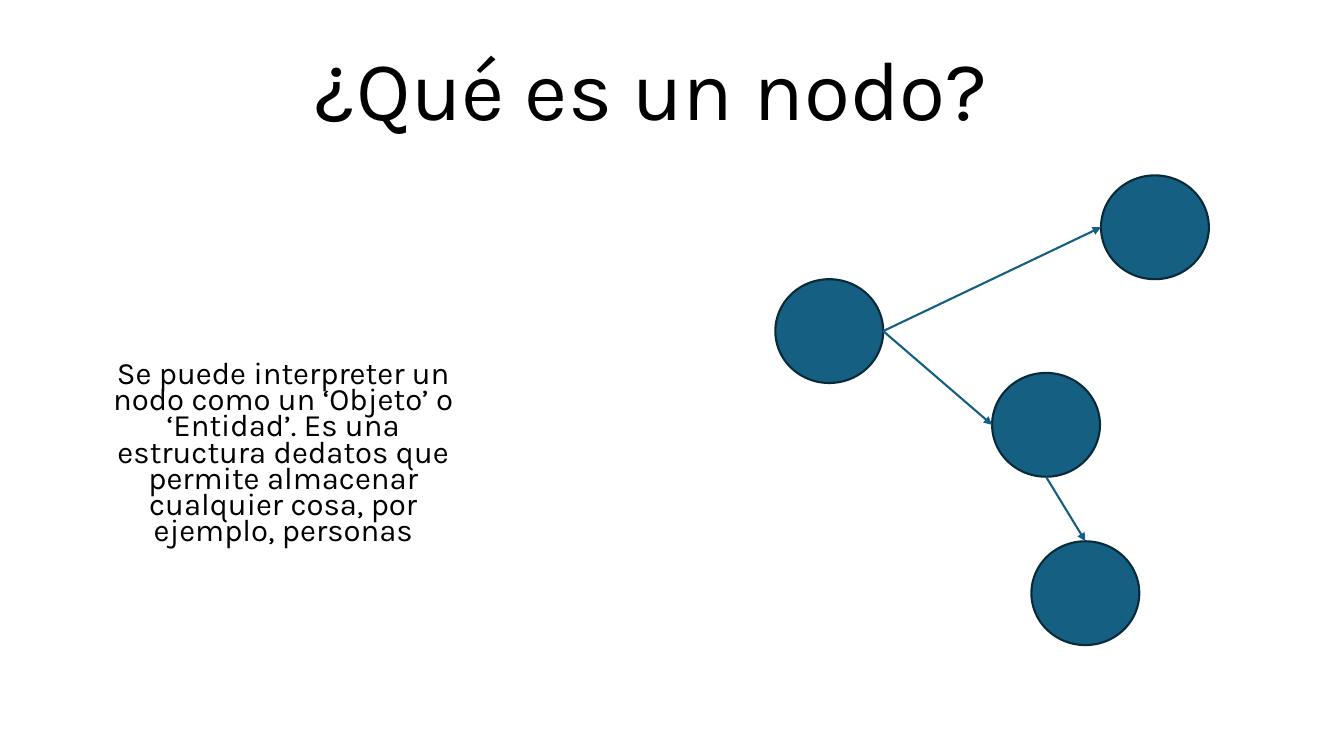
"""Build a slide that explains what a node is, with a small graph."""
from lxml import etree
from pptx import Presentation
from pptx.dml.color import RGBColor
from pptx.enum.shapes import MSO_CONNECTOR, MSO_SHAPE
from pptx.enum.text import MSO_ANCHOR, MSO_AUTO_SIZE, PP_ALIGN
from pptx.oxml.ns import qn
from pptx.util import Inches, Pt

STRAIGHT = MSO_CONNECTOR.STRAIGHT
CIRCLE = MSO_SHAPE.FLOWCHART_CONNECTOR
TOP, BOTTOM = MSO_ANCHOR.TOP, MSO_ANCHOR.BOTTOM
NO_FIT = MSO_AUTO_SIZE.NONE
CENTER = PP_ALIGN.CENTER

BLACK = RGBColor(0x00, 0x00, 0x00)
BLUE = RGBColor(0x15, 0x60, 0x82)
NAVY = RGBColor(0x09, 0x2A, 0x39)
FONT = "Karla"
LINE_WIDTH = Pt(1.5)

TITLE = "¿Qué es un nodo?"
BODY = (
    "Se puede interpreter un nodo como un ‘Objeto’ o ‘Entidad’. "
    "Es una estructura dedatos que permite almacenar cualquier cosa, "
    "por ejemplo, personas"
)

NODE_WIDTH, NODE_HEIGHT = 1.07, 1.03
NODES = {
    "root": (7.69, 2.77),
    "middle": (9.84, 3.7),
    "lower": (10.23, 5.37),
    "upper": (10.92, 1.74),
}
SIDES = {"left": (0, 0.5), "right": (1, 0.5), "top": (0.5, 0), "bottom": (0.5, 1)}
EDGES = [
    ("root", "right", "upper", "left"),
    ("root", "right", "middle", "left"),
    ("middle", "bottom", "lower", "top"),
]


def fill_placeholder(box, text, place, size, anchor, spacing, before):
    """Place a placeholder and write its formatted text."""
    box.left, box.top, box.width, box.height = map(Inches, place)
    frame = box.text_frame
    frame.word_wrap = True
    frame.auto_size = NO_FIT
    frame.vertical_anchor = anchor
    para = frame.paragraphs[0]
    para.alignment = CENTER
    para.line_spacing = spacing
    para.space_before = Pt(before)
    span = para.add_run()
    span.text = text
    span.font.name = FONT
    span.font.size = Pt(size)
    span.font.color.rgb = BLACK


def add_node(page, left, top):
    """Draw one graph node."""
    node = page.shapes.add_shape(
        CIRCLE, Inches(left), Inches(top), Inches(NODE_WIDTH), Inches(NODE_HEIGHT)
    )
    node.shadow.inherit = False
    node.fill.solid()
    node.fill.fore_color.rgb = BLUE
    node.line.color.rgb = NAVY
    node.line.width = LINE_WIDTH


def side_point(name, side):
    """Return the middle of a node's side."""
    left, top = NODES[name]
    across, down = SIDES[side]
    return Inches(left + across * NODE_WIDTH), Inches(top + down * NODE_HEIGHT)


def add_edge(page, start, start_side, end, end_side):
    """Draw an arrow between two nodes."""
    edge = page.shapes.add_connector(
        STRAIGHT, *side_point(start, start_side), *side_point(end, end_side)
    )
    edge.line.color.rgb = BLUE
    edge.line.width = LINE_WIDTH
    etree.SubElement(edge.line._get_or_add_ln(), qn("a:tailEnd"), type="triangle")
    etree.SubElement(edge._element.spPr, qn("a:effectLst"))


def main():
    """Assemble and save the deck."""
    deck = Presentation()
    deck.slide_width, deck.slide_height = Inches(13.33), Inches(7.5)
    page = deck.slides.add_slide(deck.slide_layouts[0])
    title, body = page.placeholders
    fill_placeholder(title, TITLE, (1.46, 0.4, 10, 1.03), 60, BOTTOM, 0.9, 0)
    fill_placeholder(body, BODY, (0.87, 3.56, 3.88, 1.81), 22.2, TOP, 0.7, 10)
    for left, top in NODES.values():
        add_node(page, left, top)
    for edge in EDGES:
        add_edge(page, *edge)
    deck.save("out.pptx")


if __name__ == "__main__":
    main()
